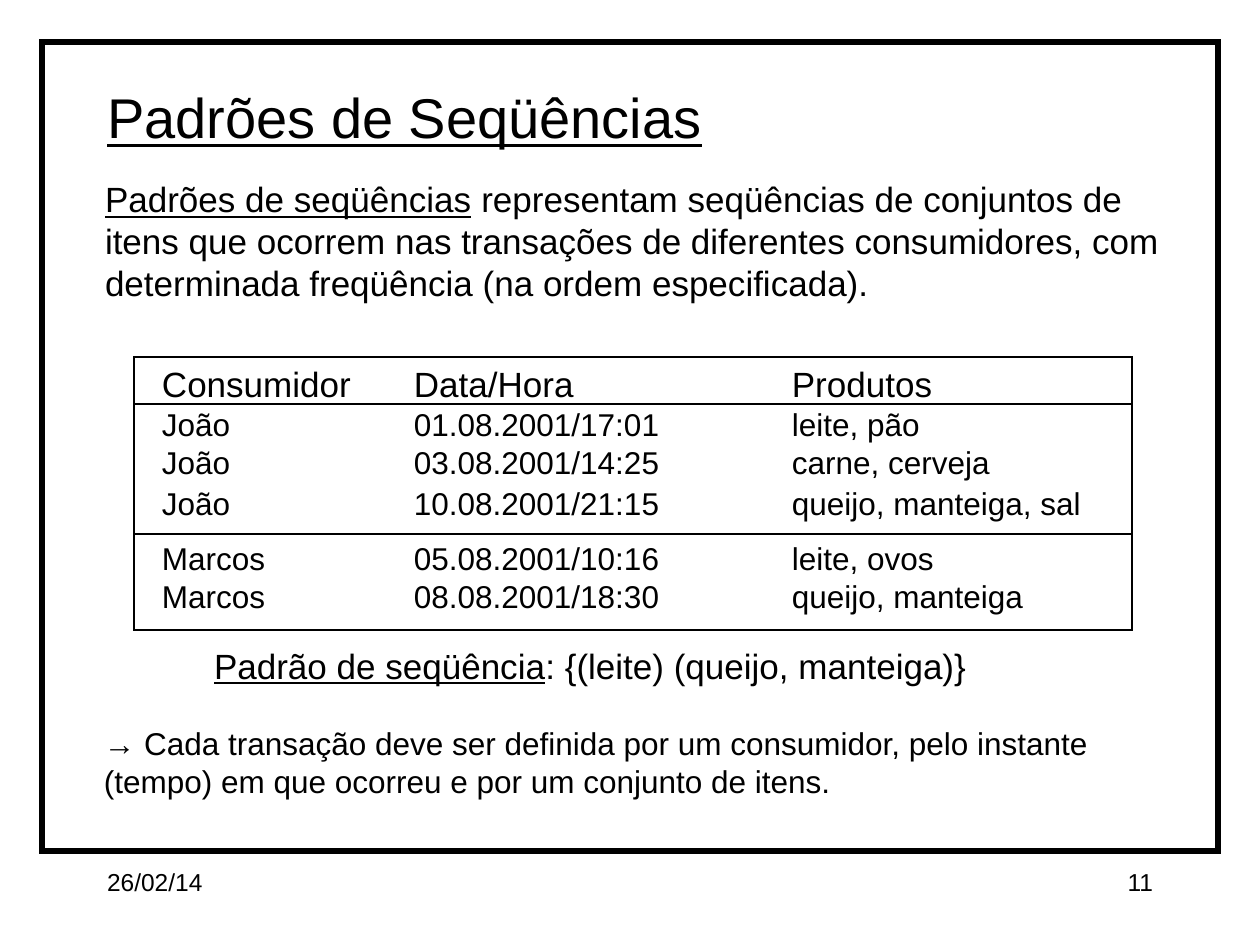
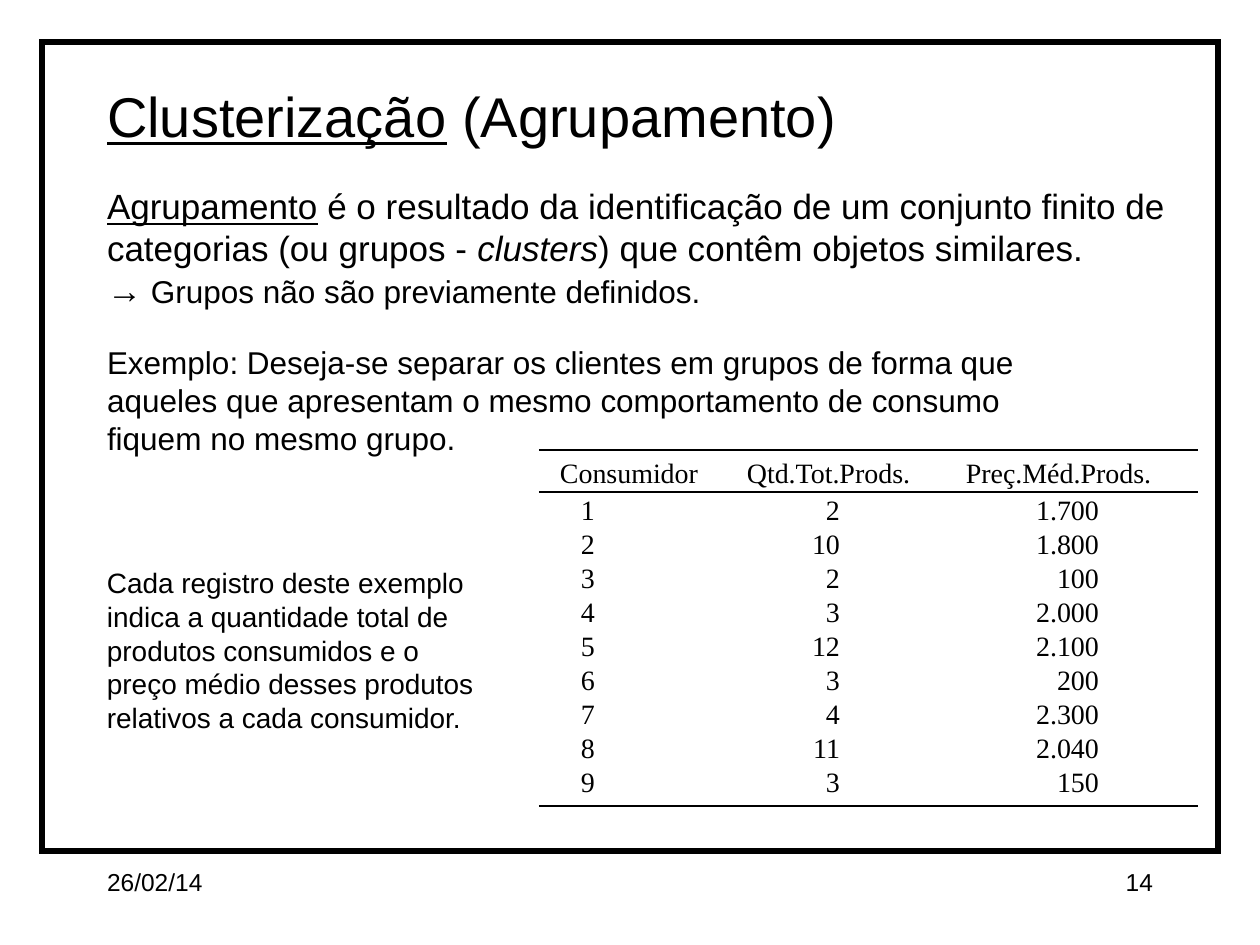
from lxml import etree
from pptx import Presentation
from pptx import util as u
from pptx.dml.color import RGBColor
from pptx.enum import shapes, text
from pptx.oxml.ns import qn

PX = 914400 // 126


class Theme:
    ink = RGBColor(0, 0, 0)
    sans, serif = "Arial", "Times New Roman"
    title, lead, body, small, footer = 32, 20, 18, 16, 14
    leading = 1.2
    frame_width, rule_width = 3, 0.75
    inset_x, inset_y = 13, 6


LEFT, RIGHT = text.PP_ALIGN.LEFT, text.PP_ALIGN.RIGHT
NO_GRID = "{2D5ABB26-0587-4C30-8999-92F81FD0307C}"


def write(tf, paragraphs, align=LEFT):
    """Fill a text frame; a run is (text, size, style, font), the last two optional."""
    tf.margin_left = tf.margin_right = Theme.inset_x * PX
    tf.margin_top = tf.margin_bottom = Theme.inset_y * PX
    tf.word_wrap = True
    for i, runs in enumerate(paragraphs):
        p = tf.add_paragraph() if i else tf.paragraphs[0]
        p.alignment = align
        p.line_spacing = u.Pt(Theme.leading * runs[0][1])
        p.space_before = p.space_after = 0
        for words, size, *rest in runs:
            style, font = (rest + ["", Theme.sans][len(rest):])[:2]
            r = p.add_run()
            r.text = words
            r.font.name, r.font.size = font, u.Pt(size)
            r.font.color.rgb = Theme.ink
            r.font.underline = "u" in style
            r.font.italic = "i" in style


def add_grid(s, left, top, widths, rows, rules, font):
    """Add a table and the rules across it; a row is (height, top margin, size, cells),
    a cell is (text, align, left margin, right margin)."""
    frame = s.shapes.add_table(len(rows), len(widths), left * PX, top * PX,
                               sum(widths) * PX, sum(row[0] for row in rows) * PX)
    table = frame.table
    table.first_row = table.horz_banding = False
    table._tbl.tblPr[0].text = NO_GRID
    for column, width in zip(table.columns, widths):
        column.width = width * PX
    for i, (height, margin_top, size, cells) in enumerate(rows):
        table.rows[i].height = height * PX
        for j, (words, align, margin_left, margin_right) in enumerate(cells):
            cell = table.cell(i, j)
            write(cell.text_frame, [[(words, size, "", font)]], align)
            cell.margin_left, cell.margin_right = margin_left * PX, margin_right * PX
            cell.margin_top, cell.margin_bottom = margin_top * PX, 0
            cell.vertical_anchor = text.MSO_ANCHOR.TOP
            cell.fill.background()
    for y in rules:
        line = s.shapes.add_connector(shapes.MSO_CONNECTOR.STRAIGHT, left * PX, y * PX,
                                      (left + sum(widths)) * PX, y * PX)
        line.line.color.rgb = Theme.ink
        line.line.width = u.Pt(Theme.rule_width)
        etree.SubElement(line._element.spPr, qn("a:effectLst"))


# Outlines: left, top, width, height, line width
page_frame = (42, 42, 1176, 809, Theme.frame_width)
purchases_box = (134, 357, 998, 273, Theme.rule_width)

# Wording: page number, title, outlines and text boxes (left, top, width, height, paragraphs)
pages = [
    ("11", 77, [("Padrões de Seqüências", Theme.title, "u")],
     [page_frame, purchases_box], [
        (92, 172, 1092, 139, [[
            ("Padrões de seqüências", Theme.lead, "u"),
            (" representam seqüências de conjuntos de itens que ocorrem nas "
             "transações de diferentes consumidores, com determinada "
             "freqüência (na ordem especificada).", Theme.lead)]]),
        (201, 638, 892, 54, [[
            ("Padrão de seqüência", Theme.lead, "u"),
            (": {(leite) (queijo, manteiga)}", Theme.lead)]]),
        (91, 718, 1080, 88, [[
            ("→ Cada transação deve ser definida por um consumidor, pelo "
             "instante (tempo) em que ocorreu e por um conjunto de itens.",
             Theme.body)]]),
    ]),
    ("14", 75, [("Clusterização", Theme.title, "u"),
                (" (Agrupamento)", Theme.title)],
     [page_frame], [
        (94, 179, 1092, 139, [
            [("Agrupamento", Theme.lead, "u"),
             (" é o resultado da identificação de um conjunto finito de "
              "categorias (ou grupos - ", Theme.lead),
             ("clusters", Theme.lead, "i"),
             (") que contêm objetos similares.", Theme.lead)],
            [("→ ", Theme.lead, "", Theme.serif),
             ("Grupos não são previamente definidos.", Theme.body)]]),
        (94, 337, 979, 126, [[
            ("Exemplo: Deseja-se separar os clientes em grupos de forma que "
             "aqueles que apresentam o mesmo comportamento de consumo fiquem "
             "no mesmo grupo.", Theme.body)]]),
        (94, 560, 404, 180, [[
            ("Cada registro deste exemplo indica a quantidade total de "
             "produtos consumidos e o preço médio desses produtos relativos "
             "a cada consumidor.", Theme.small)]]),
    ]),
]

prs = Presentation()
prs.slide_width, prs.slide_height = 1260 * PX, 945 * PX

# Shared parts: title, outlines, text and footer
for number, title_top, title, outlines, boxes in pages:
    s = prs.slides.add_slide(prs.slide_layouts[5])
    sp = s.shapes.title
    sp.left, sp.top, sp.width, sp.height = [v * PX for v in (94, title_top, 921, 80)]
    sp.text_frame.auto_size = text.MSO_AUTO_SIZE.NONE
    sp.text_frame.vertical_anchor = text.MSO_ANCHOR.TOP
    write(sp.text_frame, [title])

    for *place, line_width in outlines:
        sp = s.shapes.add_shape(shapes.MSO_SHAPE.RECTANGLE, *[v * PX for v in place])
        sp.shadow.inherit = False
        sp.fill.background()
        sp.line.color.rgb = Theme.ink
        sp.line.width = u.Pt(line_width)
        etree.SubElement(sp.line._get_or_add_ln(), qn("a:miter"), lim="800000")

    footers = [(94, 861, 262, 63, [[("26/02/14", Theme.footer)]], LEFT),
               (904, 861, 262, 63, [[(number, Theme.footer)]], RIGHT)]
    for left, top, width, height, paragraphs, *align in boxes + footers:
        sp = s.shapes.add_textbox(left * PX, top * PX, width * PX, height * PX)
        write(sp.text_frame, paragraphs, *align)

# Purchases table
purchases = [
    (47, 5, Theme.lead, "Consumidor", "Data/Hora", "Produtos"),
    (38, 0, Theme.body, "João", "01.08.2001/17:01", "leite, pão"),
    (38, 0, Theme.body, "João", "03.08.2001/14:25", "carne, cerveja"),
    (54, 3, Theme.body, "João", "10.08.2001/21:15", "queijo, manteiga, sal"),
    (42, 4, Theme.body, "Marcos", "05.08.2001/10:16", "leite, ovos"),
    (52, 0, Theme.body, "Marcos", "08.08.2001/18:30", "queijo, manteiga"),
]
rows = [(height, margin, size, [(words, LEFT, 28, 0) for words in cells])
        for height, margin, size, *cells in purchases]
add_grid(prs.slides[0], 134, 358, [252, 378, 368], rows, [404, 534], Theme.sans)

# Consumers table
quantities = [2, 10, 2, 3, 12, 3, 4, 11, 3]
prices = ["1.700", "1.800", "100", "2.000", "2.100", "200", "2.300", "2.040", "150"]
headings = ["Consumidor", "Qtd.Tot.Prods.", "Preç.Méd.Prods."]
rows = [(43, 6, Theme.small, [(words, LEFT, 21, 0) for words in headings])]
for i, (quantity, price) in enumerate(zip(quantities, prices), 1):
    rows.append((34, 0, Theme.small, [(str(i), LEFT, 42, 0),
                                      (str(quantity), RIGHT, 0, 105),
                                      (price, RIGHT, 0, 99)]))
add_grid(prs.slides[1], 539, 450, [187, 219, 253], rows, [450, 492, 806], Theme.serif)

prs.save("out.pptx")
